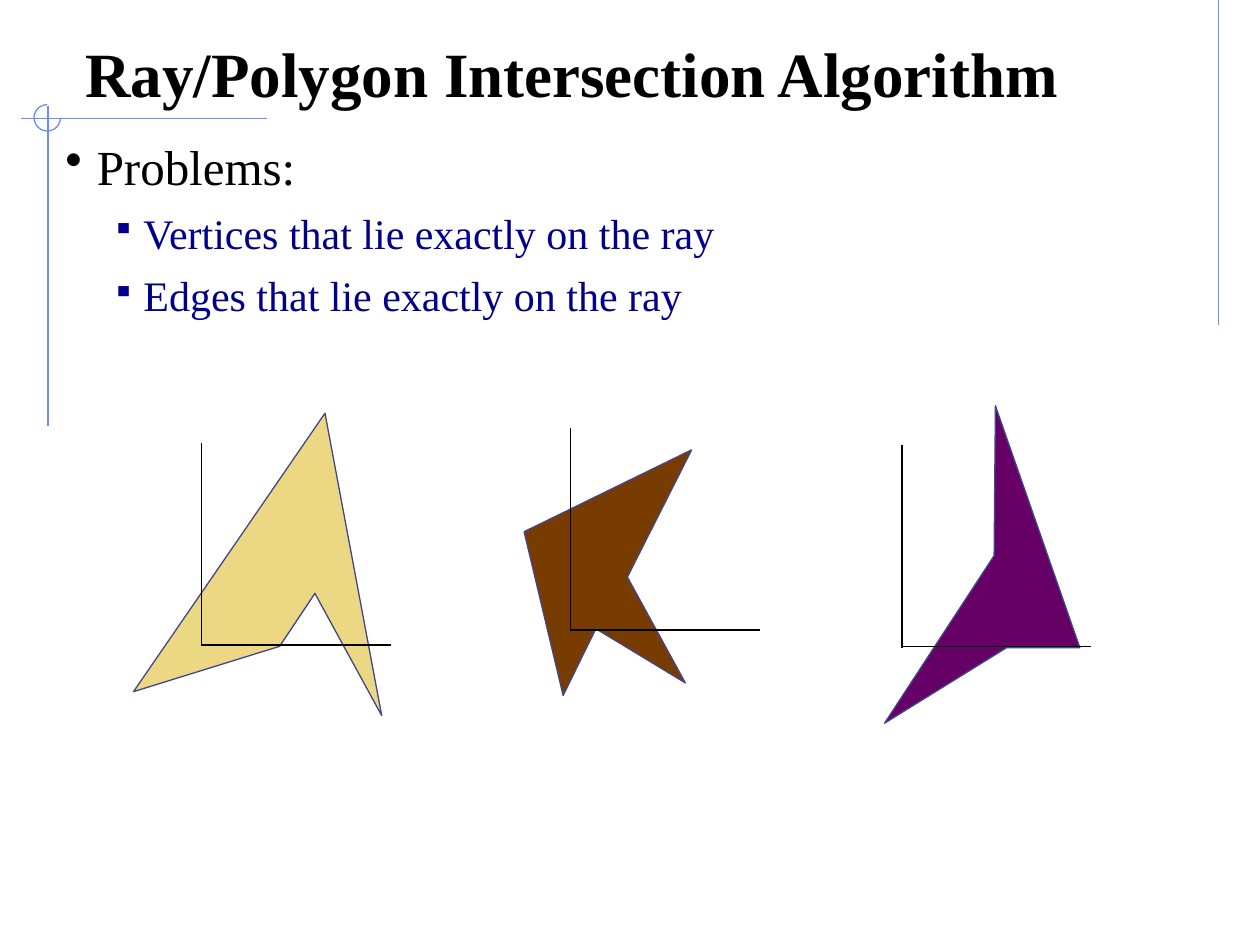
from lxml.etree import SubElement
from pptx import Presentation
from pptx.dml.color import RGBColor
from pptx.enum.shapes import MSO_CONNECTOR, MSO_SHAPE
from pptx.enum.text import MSO_ANCHOR
from pptx.oxml.ns import qn
from pptx.util import Inches, Pt

TITLE = "Ray/Polygon Intersection Algorithm"
BULLETS = [
    ("Problems:", 0),
    ("Vertices that lie exactly on the ray", 1),
    ("Edges that lie exactly on the ray", 1),
]
GUIDES = [
    ((9.67, 0), (9.67, 2.58)),
    ((2.12, 0.94), (0.17, 0.94)),
    ((0.38, 0.84), (0.38, 3.38)),
]
DIAGRAMS = [
    {
        "fill": "783C00",
        "corner": (4.53, 5),
        "points": [(4.16, 4.22), (4.47, 5.52), (4.73, 4.99),
                   (5.44, 5.42), (4.98, 4.58), (5.49, 3.57)],
    },
    {
        "fill": "ECD882",
        "corner": (1.6, 5.12),
        "points": [(1.06, 5.49), (2.22, 5.13), (2.5, 4.71),
                   (3.03, 5.68), (2.58, 3.28)],
    },
    {
        "fill": "660066",
        "corner": (7.16, 5.13),
        "points": [(7.89, 4.41), (7.02, 5.74), (7.99, 5.14),
                   (8.57, 5.14), (7.9, 3.22)],
    },
]
AXIS_HEIGHT, AXIS_OVERHANG, RAY_LENGTH = 1.6, 0.01, 1.5

THEME = {
    "font": "Times New Roman",
    "text": "000000",
    "guide": "6F89F7",
    "outline": "40458C",
    "title_size": 36,
    "line_width": 0.75,
}
LEVELS = [
    {"size": 28, "color": "000000", "bullet": "•", "bullet_size": 100,
     "indent": 0.25, "before": 0},
    {"size": 24, "color": "00008C", "bullet": "▪", "bullet_size": 75,
     "indent": 0.62, "before": 7},
]
HANGING = 0.25


def color(value):
    return RGBColor.from_string(value)


def style_line(shape, value):
    shape.line.color.rgb = color(value)
    shape.line.width = Pt(THEME["line_width"])


def add_line(slide, start, end, value):
    connector = slide.shapes.add_connector(
        MSO_CONNECTOR.STRAIGHT, *(Inches(n) for n in (*start, *end)))
    style_line(connector, value)
    SubElement(connector._element.spPr, qn("a:effectLst"))


def add_text_box(slide, left, top, width, height, anchor):
    box = slide.shapes.add_textbox(*map(Inches, (left, top, width, height)))
    frame = box.text_frame
    frame.word_wrap = True
    frame.vertical_anchor = anchor
    return frame


def style_font(paragraph, size, value, bold=False):
    font = paragraph.font
    font.name = THEME["font"]
    font.size = Pt(size)
    font.bold = bold
    font.color.rgb = color(value)


def add_bullet(paragraph, level):
    properties = paragraph._p.get_or_add_pPr()
    properties.set("marL", str(Inches(level["indent"])))
    properties.set("indent", str(-Inches(HANGING)))
    bullet_color = SubElement(properties, qn("a:buClr"))
    SubElement(bullet_color, qn("a:srgbClr"), val=level["color"])
    SubElement(properties, qn("a:buSzPct"), val=str(level["bullet_size"] * 1000))
    SubElement(properties, qn("a:buChar"), char=level["bullet"])


def add_guides(slide):
    for start, end in GUIDES:
        add_line(slide, start, end, THEME["guide"])
    arc = slide.shapes.add_shape(
        MSO_SHAPE.ARC, *map(Inches, (0.27, 0.83, 0.21, 0.21)))
    arc.adjustments[0] = 0
    arc.adjustments[1] = 162
    arc.shadow.inherit = False
    arc.fill.background()
    style_line(arc, THEME["guide"])


def add_text(slide):
    title = add_text_box(slide, 0.58, 0.25, 8.83, 0.67, MSO_ANCHOR.BOTTOM)
    title.text = TITLE
    style_font(title.paragraphs[0], THEME["title_size"], THEME["text"], bold=True)

    body = add_text_box(slide, 0.42, 1, 9.17, 2.69, MSO_ANCHOR.TOP)
    body.margin_top = Inches(0.08)
    body.text = "\n".join(text for text, _ in BULLETS)
    for paragraph, (_, depth) in zip(body.paragraphs, BULLETS):
        level = LEVELS[depth]
        paragraph.level = depth
        paragraph.space_before = Pt(level["before"])
        add_bullet(paragraph, level)
        style_font(paragraph, level["size"], level["color"])


def add_diagram(slide, diagram):
    first, *rest = [(Inches(x), Inches(y)) for x, y in diagram["points"]]
    builder = slide.shapes.build_freeform(*first)
    builder.add_line_segments(rest, close=True)
    polygon = builder.convert_to_shape()
    polygon.shadow.inherit = False
    polygon.fill.solid()
    polygon.fill.fore_color.rgb = color(diagram["fill"])
    style_line(polygon, THEME["outline"])

    x, y = diagram["corner"]
    add_line(slide, (x, y - AXIS_HEIGHT), (x, y + AXIS_OVERHANG), THEME["text"])
    add_line(slide, (x, y), (x + RAY_LENGTH, y), THEME["text"])


def main():
    presentation = Presentation()
    presentation.slide_width = Inches(10)
    presentation.slide_height = Inches(7.5)
    slide = presentation.slides.add_slide(presentation.slide_layouts[6])
    add_guides(slide)
    add_text(slide)
    for diagram in DIAGRAMS:
        add_diagram(slide, diagram)
    presentation.save("out.pptx")


if __name__ == "__main__":
    main()
